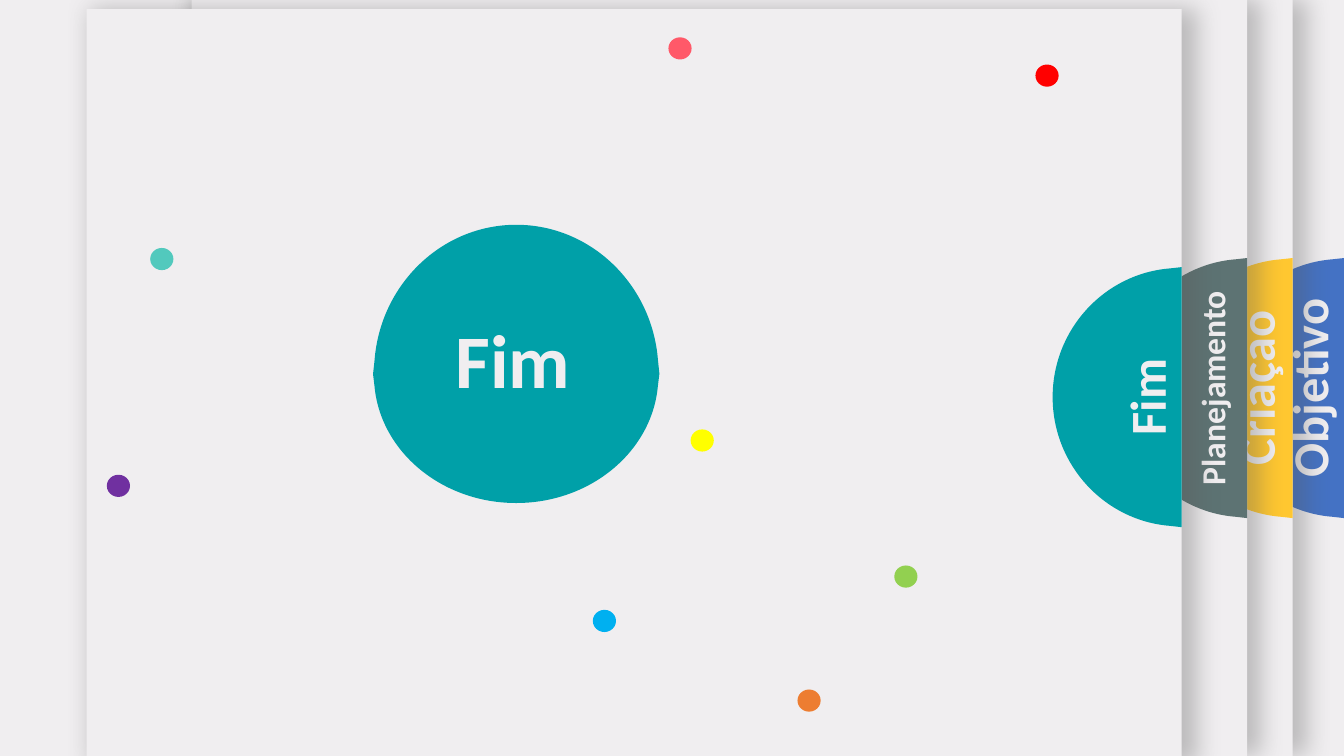
"""Build the closing slide: stacked index panels, coloured dots and a central disc."""
from lxml.etree import SubElement
from pptx import Presentation
from pptx.dml.color import RGBColor
from pptx.enum.shapes import MSO_SHAPE as Shape
from pptx.enum.text import MSO_ANCHOR as Anchor, MSO_AUTO_SIZE as AutoSize, PP_ALIGN as Align
from pptx.oxml.ns import qn
from pptx.util import Inches, Pt

WIDTH, HEIGHT = 13.33, 7.5
PAPER, TEAL, SHADE = "F0EEF0", "00A0A8", "595959"
PANELS = [
    {"label": "Objetivo", "size": 36, "color": "4472C4",
     "left": -0.32, "right": WIDTH, "top": 0, "label_x": 12.98},
    {"label": "Criação", "size": 36, "color": "FFC730",
     "left": 1.93, "right": 12.82, "top": 0, "label_x": 12.45},
    {"label": "Planejamento", "size": 24, "color": "5D7373",
     "left": 1.9, "right": 12.37, "top": 0, "label_x": 12.02},
    {"label": "Fim", "size": 36, "color": TEAL,
     "left": 0.86, "right": 11.72, "top": 0.09, "label_x": 11.37},
]
TAB_DEPTH, TAB_HEIGHT, TAB_CENTRE = 1.28, 2.58, 3.85
LABEL_WIDTH, LABEL_HEIGHTS = 2.18, {36: 0.71, 24: 0.5}
DOT_WIDTH, DOT_HEIGHT = 0.23, 0.22
DOTS = [
    (1.49, 2.46, "52C9BD"), (1.06, 4.71, "7030A0"), (6.63, 0.37, "FF5969"),
    (8.87, 5.61, "92D050"), (5.88, 6.05, "00B0F0"), (6.85, 4.26, "FFFF00"),
    (10.27, 0.64, "FF0000"), (7.91, 6.84, "ED7D31"),
]
DISC_X, DISC_Y, DISC_WIDTH = 5.12, 3.71, 2.84
DISC_HALVES = [(1.28, 1, 270), (1.48, -1, 90)]
CORNERS = [(0, -1), (0, 1), (-0.09, 0.99)]
CURVES = [(-0.6, 0.95), (-1, 0.52), (-1, 0), (-1, -0.52), (-0.6, -0.95), (-0.09, -0.99)]


def rgb(color):
    return RGBColor.from_string(color)


def paint(shape, color):
    shape.shadow.inherit = False
    shape.fill.solid()
    shape.fill.fore_color.rgb = rgb(color)
    shape.line.fill.background()
    return shape


def add_preset(parent, kind, left, top, width, height, color):
    place = [Inches(value) for value in (left, top, width, height)]
    return paint(parent.shapes.add_shape(kind, *place), color)


def bend(shape):
    """Turn the last six straight steps of the outline into two Bézier curves."""
    outline = next(shape.element.iter(qn("a:path")))
    steps = outline.findall(qn("a:lnTo"))[-len(CURVES):]
    for first in range(0, len(steps), 3):
        curve = SubElement(outline, qn("a:cubicBezTo"))
        for step in steps[first:first + 3]:
            curve.append(step[0])
            outline.remove(step)
    outline.append(outline.find(qn("a:close")))


def add_half_disc(parent, right, middle, depth, height, color, rotation=0):
    points = [(Inches(right + x * depth), Inches(middle + y * height / 2))
              for x, y in CORNERS + CURVES]
    builder = parent.shapes.build_freeform(*points[0])
    builder.add_line_segments(points[1:], close=True)
    half = paint(builder.convert_to_shape(), color)
    bend(half)
    half.rotation = rotation


def cast_shadow(shape):
    effects = shape.element.spPr.find(qn("a:effectLst"))
    shadow = SubElement(effects, qn("a:outerShdw"), blurRad=str(Pt(17)), dist=str(Pt(3)),
                        dir="0", sx="101000", algn="l", rotWithShape="0")
    tint = SubElement(shadow, qn("a:srgbClr"), val=SHADE)
    SubElement(tint, qn("a:alpha"), val="35000")


def write(box, text, *, x, y, width, height, size, rotation=0):
    box.left, box.top = Inches(x - width / 2), Inches(y - height / 2)
    box.width, box.height = Inches(width), Inches(height)
    box.rotation = rotation
    frame = box.text_frame
    frame.word_wrap = True
    frame.auto_size = AutoSize.SHAPE_TO_FIT_TEXT
    frame.vertical_anchor = Anchor.TOP
    para = frame.paragraphs[0]
    para.alignment = Align.CENTER
    span = para.add_run()
    span.text = text
    span.font.name, span.font.size, span.font.bold = "Calibri", Pt(size), True
    span.font.color.rgb = rgb(PAPER)


def add_panel(page, label, size, color, left, right, top, label_x):
    group = page.shapes.add_group_shape()
    middle = top + TAB_CENTRE
    cast_shadow(add_preset(group, Shape.RECTANGLE, left, top, right - left, HEIGHT, PAPER))
    add_half_disc(group, right, middle, TAB_DEPTH, TAB_HEIGHT, color)
    height = LABEL_HEIGHTS[size]
    place = [Inches(value) for value in (label_x, middle, LABEL_WIDTH, height)]
    write(group.shapes.add_textbox(*place), label, x=label_x, y=middle,
          width=LABEL_WIDTH, height=height, size=size, rotation=270)


def main():
    deck = Presentation()
    deck.slide_width, deck.slide_height = Inches(WIDTH), Inches(HEIGHT)
    page = deck.slides.add_slide(deck.slide_layouts[5])
    page.background.fill.solid()
    page.background.fill.fore_color.rgb = rgb(PAPER)
    for panel in PANELS:
        add_panel(page, **panel)
    for left, top, color in DOTS:
        add_preset(page, Shape.OVAL, left, top, DOT_WIDTH, DOT_HEIGHT, color)
    for depth, side, rotation in DISC_HALVES:
        add_half_disc(page, DISC_X + depth / 2, DISC_Y + side * depth / 2,
                      depth, DISC_WIDTH, TEAL, rotation)
    title = page.shapes.title
    write(title, "Fim", x=5.09, y=3.56, width=1.98, height=1.01, size=54)
    title.element.getparent().append(title.element)
    deck.save("out.pptx")


if __name__ == "__main__":
    main()
